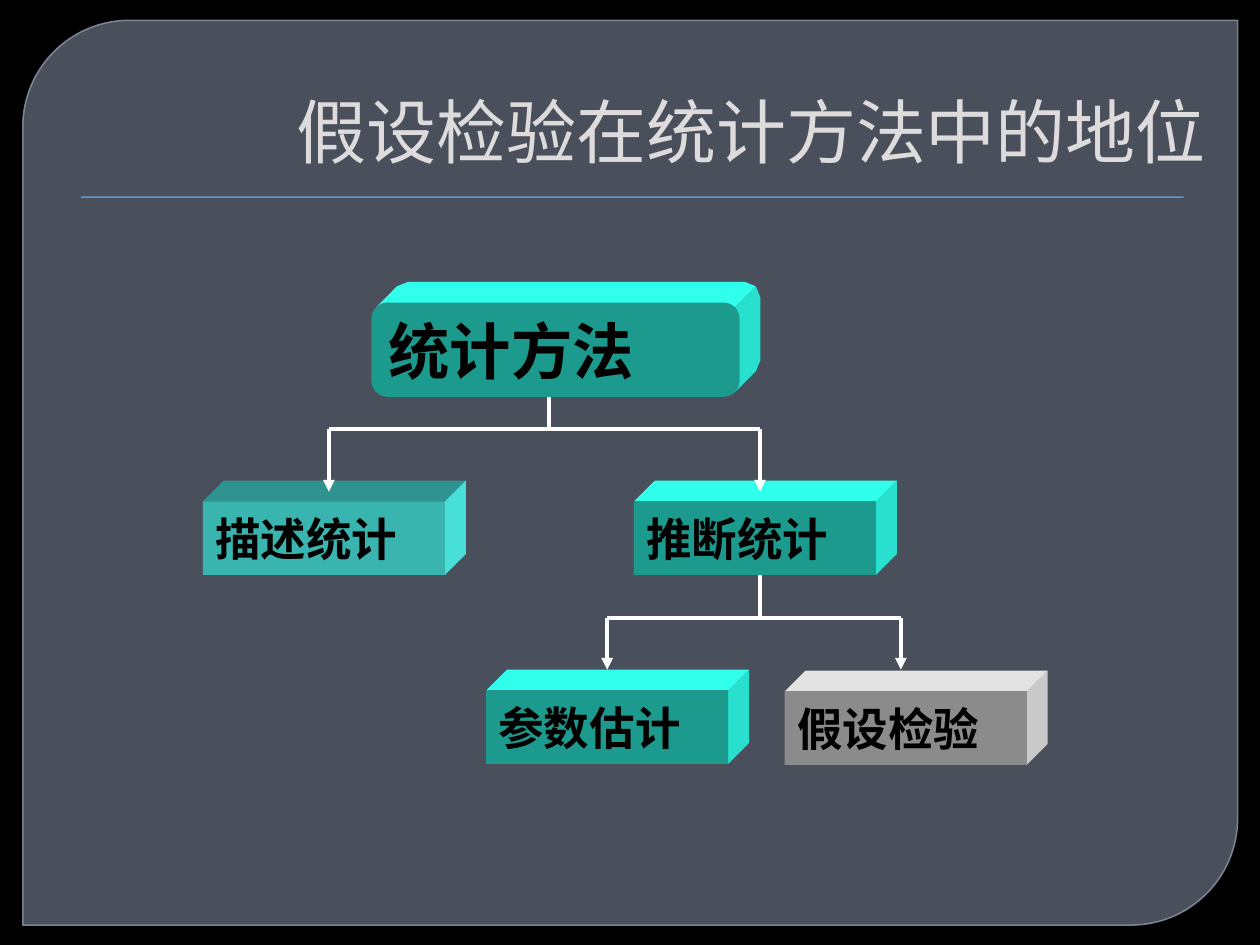
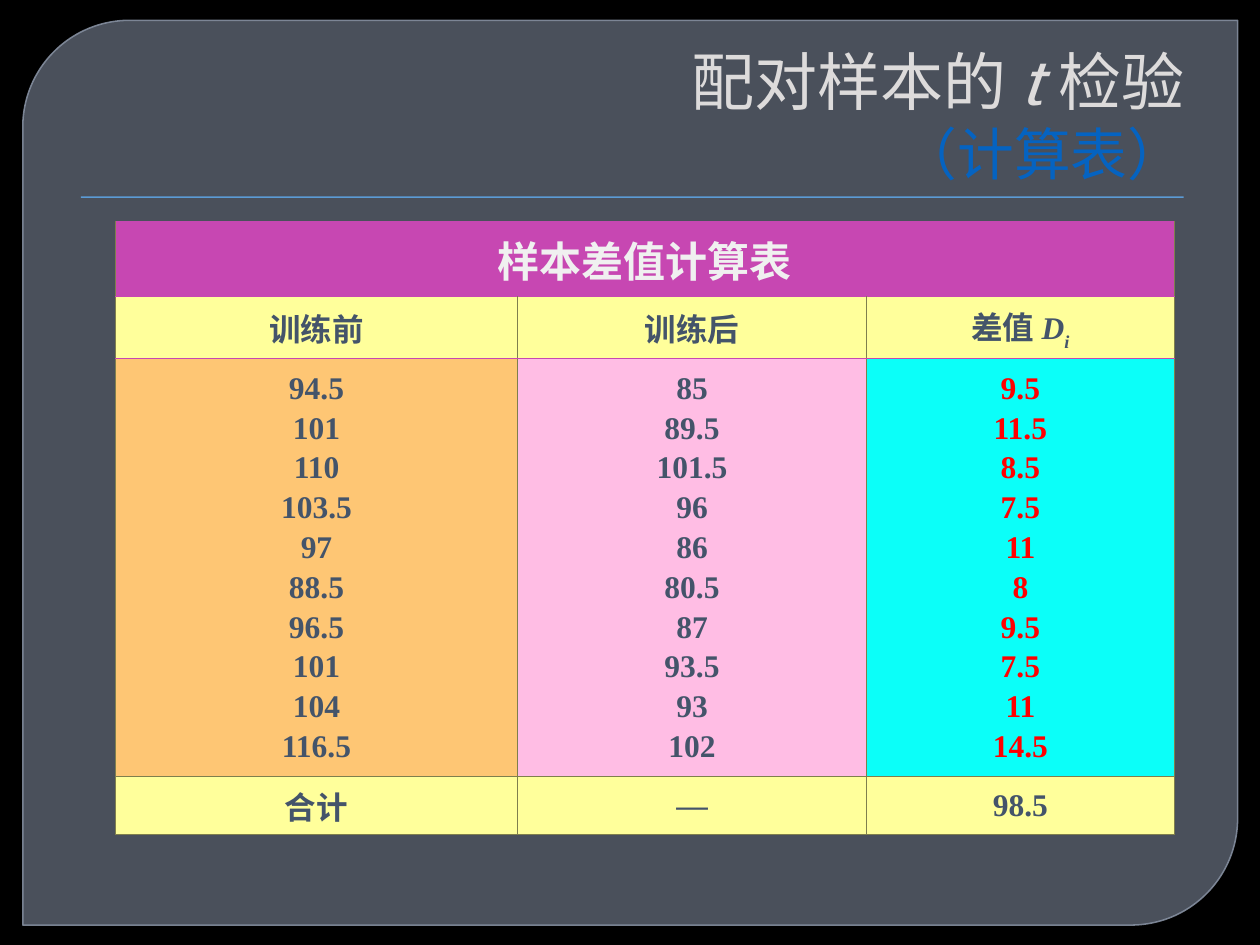
from lxml import etree
from pptx import Presentation
from pptx.dml.color import RGBColor
from pptx.enum import shapes as es, text as et
from pptx.oxml import ns
from pptx.util import Cm, Pt

BLACK = RGBColor(0x00, 0x00, 0x00)
WHITE = RGBColor(0xFF, 0xFF, 0xFF)
FRAME = RGBColor(0x72, 0x7C, 0x8D)
FRAME_EDGE = RGBColor(0x87, 0x91, 0xA2)
RULE = RGBColor(0x5B, 0x9B, 0xD5)
TITLE = RGBColor(0xDD, 0xDB, 0xDB)
SUBTITLE = RGBColor(0x05, 0x63, 0xC1)
SLATE = RGBColor(0x44, 0x54, 0x6A)
RED = RGBColor(0xFF, 0x00, 0x00)
CAPTION = RGBColor(0xF0, 0xF0, 0xF0)
MAGENTA = RGBColor(0xC7, 0x47, 0xB2)
YELLOW = RGBColor(0xFF, 0xFF, 0x9B)
ORANGE = RGBColor(0xFE, 0xC6, 0x74)
PINK = RGBColor(0xFF, 0xBD, 0xE4)
CYAN = RGBColor(0x0B, 0xFF, 0xF9)
GRID = RGBColor(0x7F, 0x7F, 0x4D)

TEAL_FACES = (RGBColor(0x1D, 0x9A, 0x8E), RGBColor(0x2F, 0xFF, 0xEB), RGBColor(0x29, 0xDF, 0xCD))
AQUA_FACES = (RGBColor(0x3A, 0xB4, 0xAE), RGBColor(0x2F, 0x94, 0x90), RGBColor(0x47, 0xDF, 0xD8))
GREY_FACES = (RGBColor(0x8B, 0x8B, 0x8B), RGBColor(0xE3, 0xE3, 0xE3), RGBColor(0xC9, 0xC9, 0xC9))

TITLE_FONT = "Roboto Slab"
BODY_FONT = "Times New Roman"
HEAD_FONT = "Arial"

BEFORE = ["94.5", "101", "110", "103.5", "97", "88.5", "96.5", "101", "104", "116.5"]
AFTER = ["85", "89.5", "101.5", "96", "86", "80.5", "87", "93.5", "93", "102"]
DIFFERENCE = ["9.5", "11.5", "8.5", "7.5", "11", "8", "9.5", "7.5", "11", "14.5"]


def style(p, name, size, color, bold=False):
    for font in (p.font, *(r.font for r in p.runs)):
        font.name, font.size, font.bold = name, Pt(size), bold
        font.color.rgb = color


def paint(sp, color):
    sp.shadow.inherit = False
    sp.fill.solid()
    sp.fill.fore_color.rgb = color
    sp.line.fill.background()
    return sp


def set_alpha(parent, percent):
    color = parent.find(".//" + ns.qn("a:srgbClr"))
    etree.SubElement(color, ns.qn("a:alpha"), val=str(percent * 1000))


def build_master(prs, s):
    master = prs.slide_master
    master.background.fill.solid()
    master.background.fill.fore_color.rgb = BLACK
    frame = paint(s.shapes.add_shape(es.MSO_SHAPE.ROUND_2_DIAG_RECTANGLE,
                                     Cm(0.46), Cm(0.41), Cm(24.49), Cm(18.24)), FRAME)
    frame.adjustments[0], frame.adjustments[1] = 0.118, 0
    set_alpha(frame._element.spPr, 65)
    frame.line.color.rgb = FRAME_EDGE
    frame.line.width = Pt(0.87)
    set_alpha(frame.line._get_or_add_ln(), 88)
    rule = paint(s.shapes.add_shape(es.MSO_SHAPE.RECTANGLE,
                                    Cm(1.63), Cm(3.96), Cm(22.23), Cm(0.03)), RULE)
    tree = master.shapes._spTree
    for index, sp in enumerate((frame, rule), 2):
        tree.insert(index, sp._element)


def place_title(s, box, size):
    title = s.shapes.title
    title.left, title.top, title.width, title.height = box
    tf = title.text_frame
    tf.word_wrap = True
    tf.auto_size = et.MSO_AUTO_SIZE.NONE
    tf.vertical_anchor = et.MSO_ANCHOR.BOTTOM
    p = tf.paragraphs[0]
    p.alignment = et.PP_ALIGN.RIGHT
    style(p, TITLE_FONT, size, TITLE)
    return p


def add_face(s, points, color):
    builder = s.shapes.build_freeform(*points[0])
    builder.add_line_segments(points[1:], close=True)
    paint(builder.convert_to_shape(), color)


def add_block(s, box, label, faces, size=26, font=BODY_FONT, radius=0):
    x, y, w, h = box
    front, top, side = faces
    d, c = Cm(0.42), int(radius * 0.29)
    right, back_right = x + w, x + w + d
    add_face(s, [(x + c, y + c), (x + c + d, y + c - d), (x + radius + d, y - d),
                 (back_right - radius, y - d), (back_right - c, y + c - d),
                 (right - c, y + c)], top)
    add_face(s, [(right - c, y + c), (back_right - c, y + c - d),
                 (back_right, y + radius - d), (back_right, y + h - radius - d),
                 (back_right - c, y + h - c - d), (right - c, y + h - c)], side)
    kind = es.MSO_SHAPE.ROUNDED_RECTANGLE if radius else es.MSO_SHAPE.RECTANGLE
    sp = paint(s.shapes.add_shape(kind, x, y, w, h), front)
    if radius:
        sp.adjustments[0] = radius / h
    tf = sp.text_frame
    tf.word_wrap = True
    tf.vertical_anchor = et.MSO_ANCHOR.MIDDLE
    p = tf.paragraphs[0]
    p.text = label
    p.alignment = et.PP_ALIGN.LEFT
    style(p, font, size, BLACK, True)


def add_line(s, start, end, arrow=False):
    c = s.shapes.add_connector(es.MSO_CONNECTOR.STRAIGHT, *start, *end)
    c.line.color.rgb = WHITE
    c.line.width = Pt(2.25)
    if arrow:
        etree.SubElement(c.line._get_or_add_ln(), ns.qn("a:tailEnd"), type="triangle")
    etree.SubElement(c._element.spPr, ns.qn("a:effectLst"))


def add_branch(s, trunk_x, start_y, bus_y, tip_y, child_xs):
    add_line(s, (trunk_x, start_y), (trunk_x, bus_y))
    add_line(s, (child_xs[0], bus_y), (child_xs[-1], bus_y))
    for x in child_xs:
        add_line(s, (x, bus_y), (x, tip_y), arrow=True)


def add_method_tree(s, left, top):
    def at_x(cm):
        return left + Cm(cm)

    def at_y(cm):
        return top + Cm(cm)

    add_block(s, (at_x(3.4), at_y(0), Cm(7.42), Cm(1.9)), "统计方法", TEAL_FACES,
              35, HEAD_FONT, Cm(0.32))
    for x, y, label, faces in ((0, 4.01, "描述统计", AQUA_FACES),
                               (8.69, 4.01, "推断统计", TEAL_FACES),
                               (5.71, 7.82, "参数估计", TEAL_FACES),
                               (11.73, 7.84, "假设检验", GREY_FACES)):
        add_block(s, (at_x(x), at_y(y), Cm(4.88), Cm(1.48)), label, faces)
    add_branch(s, at_x(6.98), at_y(1.9), at_y(2.54), at_y(3.81), (at_x(2.54), at_x(11.23)))
    add_branch(s, at_x(11.23), at_y(5.49), at_y(6.36), at_y(7.4), (at_x(8.15), at_x(14.07)))


def set_borders(cell, row):
    colors = {"lnL": GRID, "lnR": GRID,
              "lnT": MAGENTA if row <= 2 else GRID,
              "lnB": MAGENTA if row <= 1 else GRID}
    tcPr = cell._tc.get_or_add_tcPr()
    for index, (tag, color) in enumerate(colors.items()):
        ln = etree.Element(ns.qn("a:" + tag), w=str(Pt(1 if color == MAGENTA else 0.75)))
        fill = etree.SubElement(ln, ns.qn("a:solidFill"))
        etree.SubElement(fill, ns.qn("a:srgbClr"), val=str(color))
        tcPr.insert(index, ln)


def fill_cell(cell, lines, fill, color=SLATE, size=18, font=BODY_FONT):
    cell.fill.solid()
    cell.fill.fore_color.rgb = fill
    cell.vertical_anchor = et.MSO_ANCHOR.MIDDLE
    cell.margin_top = cell.margin_bottom = Cm(0.08)
    tf = cell.text_frame
    tf.text = "\n".join(lines)
    for p in tf.paragraphs:
        p.alignment = et.PP_ALIGN.CENTER
        p.space_before = Pt(2.8)
        style(p, font, size, color, True)


def add_difference_symbol(cell):
    p = cell.text_frame.paragraphs[0]
    for letter in "Di":
        r = p.add_run()
        r.text = letter
        r.font.italic = True
    r._r.get_or_add_rPr().set("baseline", "-30000")
    style(p, BODY_FONT, 18, SLATE, True)


def add_difference_table(s, box):
    widths, heights = (8.1, 7.04, 6.2), (1.5, 1.25, 8.43, 1.17)
    table = s.shapes.add_table(4, 3, *box).table
    table.first_row = table.horz_banding = False
    for column, width in zip(table.columns, widths):
        column.width = Cm(width)
    for row, height in zip(table.rows, heights):
        row.height = Cm(height)
    table.cell(0, 0).merge(table.cell(0, 2))
    fill_cell(table.cell(0, 0), ["样本差值计算表"], MAGENTA, CAPTION, 24, HEAD_FONT)
    columns = (("训练前", BEFORE, "合计", ORANGE, SLATE),
               ("训练后", AFTER, "—", PINK, SLATE),
               ("差值 ", DIFFERENCE, "98.5", CYAN, RED))
    for i, (heading, values, total, fill, color) in enumerate(columns):
        fill_cell(table.cell(1, i), [heading], YELLOW)
        fill_cell(table.cell(2, i), values, fill, color)
        fill_cell(table.cell(3, i), [total], YELLOW)
        for row in range(4):
            set_borders(table.cell(row, i), row)
    add_difference_symbol(table.cell(1, 2))


def build_method_slide(s):
    p = place_title(s, (Cm(5.38), Cm(0.48), Cm(19.18), Cm(3.12)), 40)
    p.text = "假设检验在统计方法中的地位"
    style(p, TITLE_FONT, 40, TITLE)
    add_method_tree(s, Cm(4.09), Cm(6.1))


def build_paired_slide(s):
    p = place_title(s, (Cm(1.27), Cm(0.71), Cm(22.86), Cm(3.18)), 36)
    for part in ("配对样本的 ", "t ", "检验"):
        r = p.add_run()
        r.text = part
        r.font.italic = part == "t "
    p.add_line_break()
    r = p.add_run()
    r.text = "（计算表）"
    style(p, TITLE_FONT, 36, TITLE)
    r.font.size = Pt(32.4)
    r.font.color.rgb = SUBTITLE
    add_difference_table(s, (Cm(2.33), Cm(4.48), Cm(21.34), Cm(12.35)))


def main():
    prs = Presentation()
    prs.slide_width, prs.slide_height = Cm(25.4), Cm(19.05)
    title_only = prs.slide_layouts[5]
    method, paired = (prs.slides.add_slide(title_only) for _ in range(2))
    build_master(prs, method)
    build_method_slide(method)
    build_paired_slide(paired)
    prs.save("out.pptx")


if __name__ == "__main__":
    main()
